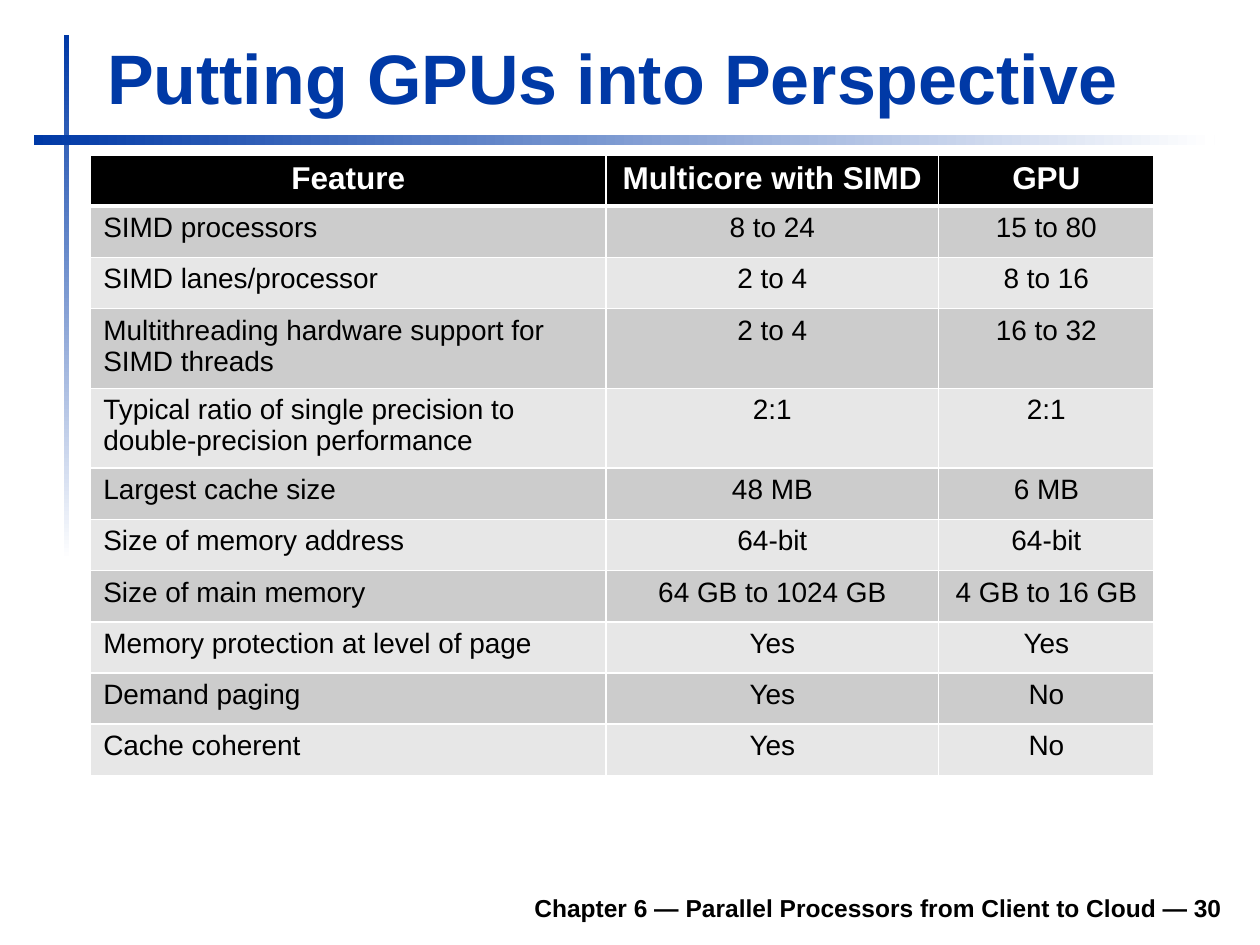
from dataclasses import dataclass

from lxml import etree
from pptx import Presentation
from pptx.dml.color import RGBColor
from pptx.enum.shapes import MSO_SHAPE
from pptx.enum.text import MSO_ANCHOR, MSO_AUTO_SIZE, PP_ALIGN
from pptx.oxml.ns import qn
from pptx.slide import Slide
from pptx.util import Inches, Pt

COLORS = {"blue": "0039A6", "white": "FFFFFF", "black": "000000",
          "dark_band": "CCCCCC", "light_band": "E7E7E7"}

COLUMN_WIDTHS = [4.09, 2.64, 1.71]
TABLE_HEIGHT = 4.92
TALL_ROW = 0.63
TALL_ROWS = {3, 4}
ROWS = [
    ("Feature", "Multicore with SIMD", "GPU"),
    ("SIMD processors", "8 to 24", "15 to 80"),
    ("SIMD lanes/processor", "2 to 4", "8 to 16"),
    ("Multithreading hardware support for SIMD threads", "2 to 4", "16 to 32"),
    ("Typical ratio of single precision to double-precision performance", "2:1", "2:1"),
    ("Largest cache size", "48 MB", "6 MB"),
    ("Size of memory address", "64-bit", "64-bit"),
    ("Size of main memory", "64 GB to 1024 GB", "4 GB to 16 GB"),
    ("Memory protection at level of page", "Yes", "Yes"),
    ("Demand paging", "Yes", "No"),
    ("Cache coherent", "Yes", "No"),
]


def rgb(name):
    return RGBColor.from_string(COLORS[name])


def set_borders(cell, widths):
    """Give a cell white borders; widths maps L, R, T, B to points."""
    properties = cell._tc.get_or_add_tcPr()
    for index, (side, width) in enumerate(widths.items()):
        line = etree.Element(qn(f"a:ln{side}"), w=str(Pt(width)))
        fill = etree.SubElement(line, qn("a:solidFill"))
        etree.SubElement(fill, qn("a:srgbClr"), val=COLORS["white"])
        properties.insert(index, line)


@dataclass
class SlideBuilder:
    slide: Slide
    font: str = "Arial"

    def add_text(self, frame, text, size, color="black", bold=False, align=PP_ALIGN.LEFT):
        paragraph = frame.paragraphs[0]
        paragraph.alignment = align
        run = paragraph.add_run()
        run.text = text
        run.font.name = self.font
        run.font.size = Pt(size)
        run.font.bold = bold
        run.font.color.rgb = rgb(color)

    def fading_bar(self, left, top, width, height, angle):
        bar = self.slide.shapes.add_shape(
            MSO_SHAPE.RECTANGLE, Inches(left), Inches(top), Inches(width), Inches(height))
        bar.shadow.inherit = False
        bar.line.fill.background()
        bar.fill.gradient()
        bar.fill.gradient_angle = angle
        for stop, color in zip(bar.fill.gradient_stops, ("blue", "white")):
            stop.color.rgb = rgb(color)

    def title(self, text, left, top, width, height):
        title = self.slide.shapes.title
        title.left, title.top = Inches(left), Inches(top)
        title.width, title.height = Inches(width), Inches(height)
        frame = title.text_frame
        frame.word_wrap = True
        frame.vertical_anchor = MSO_ANCHOR.BOTTOM
        frame.auto_size = MSO_AUTO_SIZE.SHAPE_TO_FIT_TEXT
        self.add_text(frame, text, 40, "blue", bold=True)

    def footer(self, text, left, top, width, height):
        box = self.slide.shapes.add_textbox(
            Inches(left), Inches(top), Inches(width), Inches(height))
        frame = box.text_frame
        frame.word_wrap = True
        frame.vertical_anchor = MSO_ANCHOR.BOTTOM
        self.add_text(frame, text, 14, bold=True, align=PP_ALIGN.RIGHT)

    def table(self, rows, left, top):
        table = self.slide.shapes.add_table(
            len(rows), len(COLUMN_WIDTHS), Inches(left), Inches(top),
            Inches(sum(COLUMN_WIDTHS)), Inches(TABLE_HEIGHT)).table
        for column, width in zip(table.columns, COLUMN_WIDTHS):
            column.width = Inches(width)
        short_row = (TABLE_HEIGHT - TALL_ROW * len(TALL_ROWS)) / (len(rows) - len(TALL_ROWS))
        for row_index, values in enumerate(rows):
            height = TALL_ROW if row_index in TALL_ROWS else short_row
            table.rows[row_index].height = Inches(height)
            for column_index, text in enumerate(values):
                self.table_cell(table.cell(row_index, column_index), text,
                                row_index, column_index)

    def table_cell(self, cell, text, row_index, column_index):
        header = row_index == 0
        band = "dark_band" if row_index % 2 else "light_band"
        cell.fill.solid()
        cell.fill.fore_color.rgb = rgb("black" if header else band)
        set_borders(cell, {"L": 1, "R": 1, "T": 3 if row_index == 1 else 1,
                           "B": 3 if header else 1})
        centered = header or column_index > 0
        self.add_text(cell.text_frame, text, 18 if header else 16,
                      "white" if header else "black", bold=header,
                      align=PP_ALIGN.CENTER if centered else PP_ALIGN.LEFT)


def main():
    presentation = Presentation()
    presentation.slide_width = Inches(10)
    presentation.slide_height = Inches(7.5)
    title_only = presentation.slide_layouts[5]
    builder = SlideBuilder(presentation.slides.add_slide(title_only))
    builder.fading_bar(0.51, 0.28, 0.04, 4.17, angle=270)
    builder.fading_bar(0.27, 1.07, 9.37, 0.08, angle=0)
    builder.title("Putting GPUs into Perspective", 0.75, 0.22, 9.03, 0.77)
    builder.footer("Chapter 6 — Parallel Processors from Client to Cloud — 30",
                   1.85, 6.98, 7.95, 0.39)
    builder.table(ROWS, 0.72, 1.23)
    presentation.save("out.pptx")


if __name__ == "__main__":
    main()
